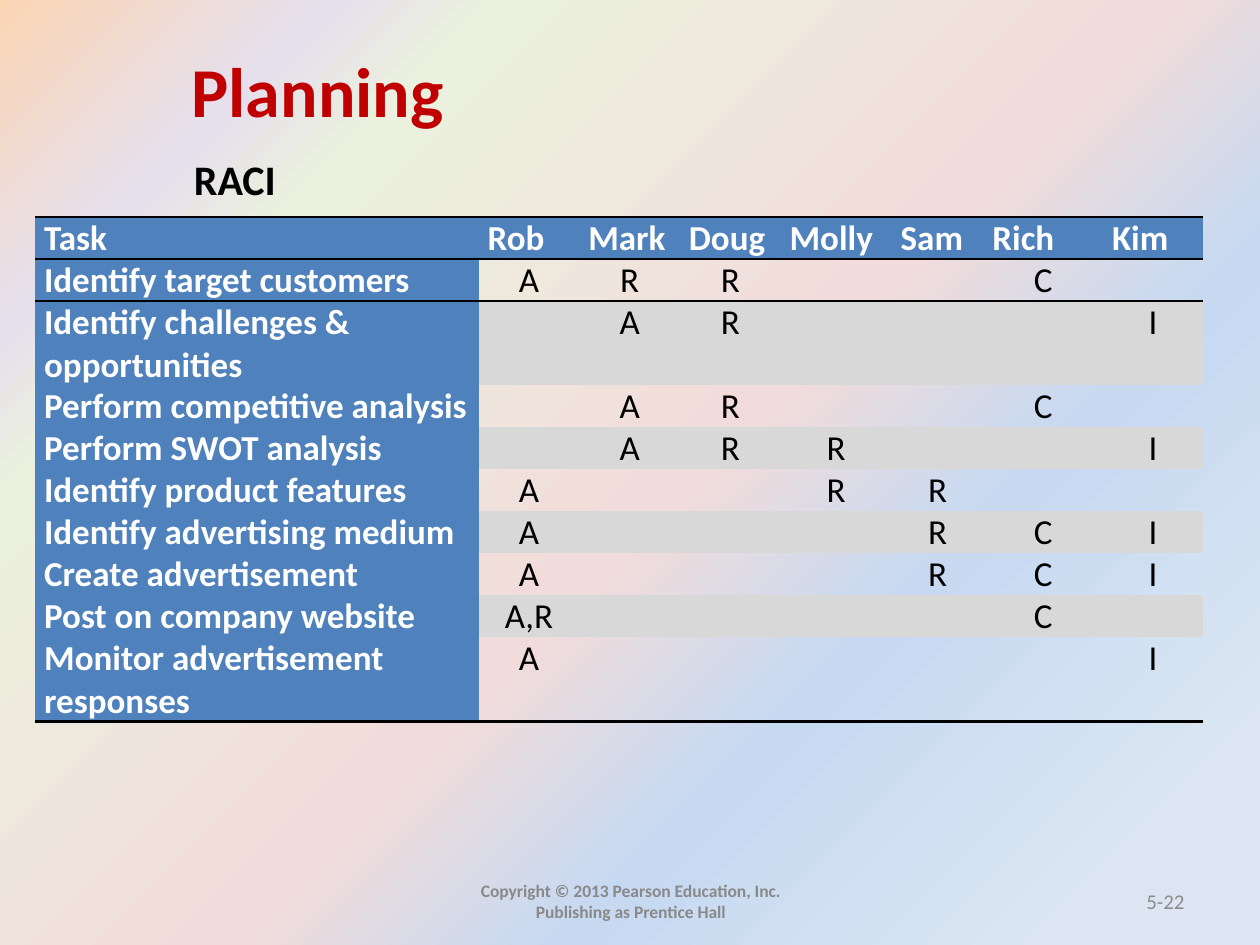
from dataclasses import dataclass

from lxml.etree import SubElement
from pptx import Presentation
from pptx.dml.color import RGBColor
from pptx.enum.text import MSO_ANCHOR, MSO_AUTO_SIZE, PP_ALIGN
from pptx.oxml.ns import qn
from pptx.util import Cm, Pt

FONT = "Calibri"
BLACK, WHITE, BLUE, BAND = "000000", "FFFFFF", "4F81BD", "D8D8D8"
NO_STYLE_NO_GRID = "{2D5ABB26-0587-4C30-8999-92F81FD0307C}"
GRADIENT_STOPS = [
    (9, "DCE6F2"), (32, "C6D9F1"), (47, "F2DCDB"),
    (77, "EBF1DE"), (85, "E6E0EC"), (100, "FCD5B5"),
]
PEOPLE = ["Rob", "Mark", "Doug", "Molly", "Sam", "Rich", "Kim"]
COLUMN_WIDTHS = [8.94, 2.03, 2.03, 2.03, 2.24, 1.85, 2.41, 2.01]
ROW_HEIGHT = 0.66


@dataclass
class Task:
    name: str
    roles: dict[str, str]


@dataclass
class Label:
    text: str
    left: float
    top: float
    width: float
    height: float
    size: float
    color: str
    bold: bool = True
    align: PP_ALIGN = PP_ALIGN.LEFT
    anchor: MSO_ANCHOR = MSO_ANCHOR.MIDDLE
    side_margin: float = 0.25


TASKS = [
    Task("Identify target customers", {"Rob": "A", "Mark": "R", "Doug": "R", "Rich": "C"}),
    Task("Identify challenges & opportunities", {"Mark": "A", "Doug": "R", "Kim": "I"}),
    Task("Perform competitive analysis", {"Mark": "A", "Doug": "R", "Rich": "C"}),
    Task("Perform SWOT analysis", {"Mark": "A", "Doug": "R", "Molly": "R", "Kim": "I"}),
    Task("Identify product features", {"Rob": "A", "Molly": "R", "Sam": "R"}),
    Task("Identify advertising medium", {"Rob": "A", "Sam": "R", "Rich": "C", "Kim": "I"}),
    Task("Create advertisement", {"Rob": "A", "Sam": "R", "Rich": "C", "Kim": "I"}),
    Task("Post on company website", {"Rob": "A,R", "Rich": "C"}),
    Task("Monitor advertisement responses", {"Rob": "A", "Kim": "I"}),
]

LABELS = [
    Label("RACI", 3.66, 2.97, 10.9, 0.94, 24, BLACK, anchor=MSO_ANCHOR.TOP),
    Label("Copyright © 2013 Pearson Education, Inc. Publishing as Prentice Hall",
          8.69, 17.65, 8.05, 1.02, 10, "898989", align=PP_ALIGN.CENTER, side_margin=0.4),
    Label("5-22", 18.21, 17.65, 5.92, 1.02, 12, "8C8C8C", bold=False, align=PP_ALIGN.RIGHT),
]


def rgb(value: str) -> RGBColor:
    return RGBColor.from_string(value)


def write_text(frame, text: str, *, size: float, color: str, bold: bool = False,
               align: PP_ALIGN = PP_ALIGN.LEFT) -> None:
    para = frame.paragraphs[0]
    para.alignment = align
    span = para.add_run()
    span.text = text
    span.font.name = FONT
    span.font.size = Pt(size)
    span.font.bold = bold
    span.font.color.rgb = rgb(color)


def paint_background(page) -> None:
    fill = page.background.fill
    fill.gradient()
    fill.gradient_angle = 135
    stop_list = page.background._cSld.find(".//" + qn("a:gsLst"))
    stop_list.clear()
    for position, color in GRADIENT_STOPS:
        stop = SubElement(stop_list, qn("a:gs"), pos=str(position * 1000))
        SubElement(stop, qn("a:srgbClr"), val=color)


def add_title(page, text: str) -> None:
    title = page.shapes.title
    title.left, title.top, title.width, title.height = Cm(3.61), Cm(0.84), Cm(5.64), Cm(1.96)
    frame = title.text_frame
    frame.word_wrap = False
    frame.auto_size = MSO_AUTO_SIZE.SHAPE_TO_FIT_TEXT
    frame.vertical_anchor = MSO_ANCHOR.TOP
    write_text(frame, text, size=40, color="C00000", bold=True)


def add_label(page, label: Label) -> None:
    box = page.shapes.add_textbox(
        Cm(label.left), Cm(label.top), Cm(label.width), Cm(label.height))
    frame = box.text_frame
    frame.word_wrap = True
    frame.vertical_anchor = label.anchor
    frame.margin_left = frame.margin_right = Cm(label.side_margin)
    write_text(frame, label.text, size=label.size, color=label.color,
               bold=label.bold, align=label.align)


def add_border(cell, side: str, width: float) -> None:
    line = SubElement(cell._tc.get_or_add_tcPr(), qn(f"a:{side}"), w=str(Pt(width)))
    SubElement(SubElement(line, qn("a:solidFill")), qn("a:srgbClr"), val=BLACK)


def fill_cell(cell, text: str, *, fill: str | None, heading: bool) -> None:
    cell.margin_left = cell.margin_right = Cm(0.18)
    cell.margin_top = cell.margin_bottom = 0
    if fill:
        cell.fill.solid()
        cell.fill.fore_color.rgb = rgb(fill)
    else:
        cell.fill.background()
    if text:
        write_text(cell.text_frame, text, size=20, bold=heading,
                   color=WHITE if heading else BLACK,
                   align=PP_ALIGN.LEFT if heading else PP_ALIGN.CENTER)


def add_raci_table(page) -> None:
    rows = [["Task", *PEOPLE]]
    rows += [[task.name, *(task.roles.get(person, "") for person in PEOPLE)] for task in TASKS]
    holder = page.shapes.add_table(
        len(rows), len(COLUMN_WIDTHS), Cm(0.71), Cm(4.37), Cm(sum(COLUMN_WIDTHS)), Cm(10.16))
    table = holder.table
    table._tbl.tblPr.find(qn("a:tableStyleId")).text = NO_STYLE_NO_GRID
    for column, width in zip(table.columns, COLUMN_WIDTHS):
        column.width = Cm(width)
    for row in table.rows:
        row.height = Cm(ROW_HEIGHT)
    holder.height = Cm(10.16)

    for row_index, texts in enumerate(rows):
        for column_index, text in enumerate(texts):
            cell = table.cell(row_index, column_index)
            if row_index <= 1:
                add_border(cell, "lnT", 1)
            if row_index == 0:
                add_border(cell, "lnB", 1)
            if row_index == len(rows) - 1:
                add_border(cell, "lnB", 2.25)
            heading = row_index == 0 or column_index == 0
            band = BAND if row_index % 2 == 0 else None
            fill_cell(cell, text, fill=BLUE if heading else band, heading=heading)


def main() -> None:
    deck = Presentation()
    deck.slide_width, deck.slide_height = Cm(25.4), Cm(19.05)
    page = deck.slides.add_slide(deck.slide_layouts.get_by_name("Title Only"))
    paint_background(page)
    add_title(page, "Planning")
    add_raci_table(page)
    for label in LABELS:
        add_label(page, label)
    deck.save("out.pptx")


if __name__ == "__main__":
    main()
